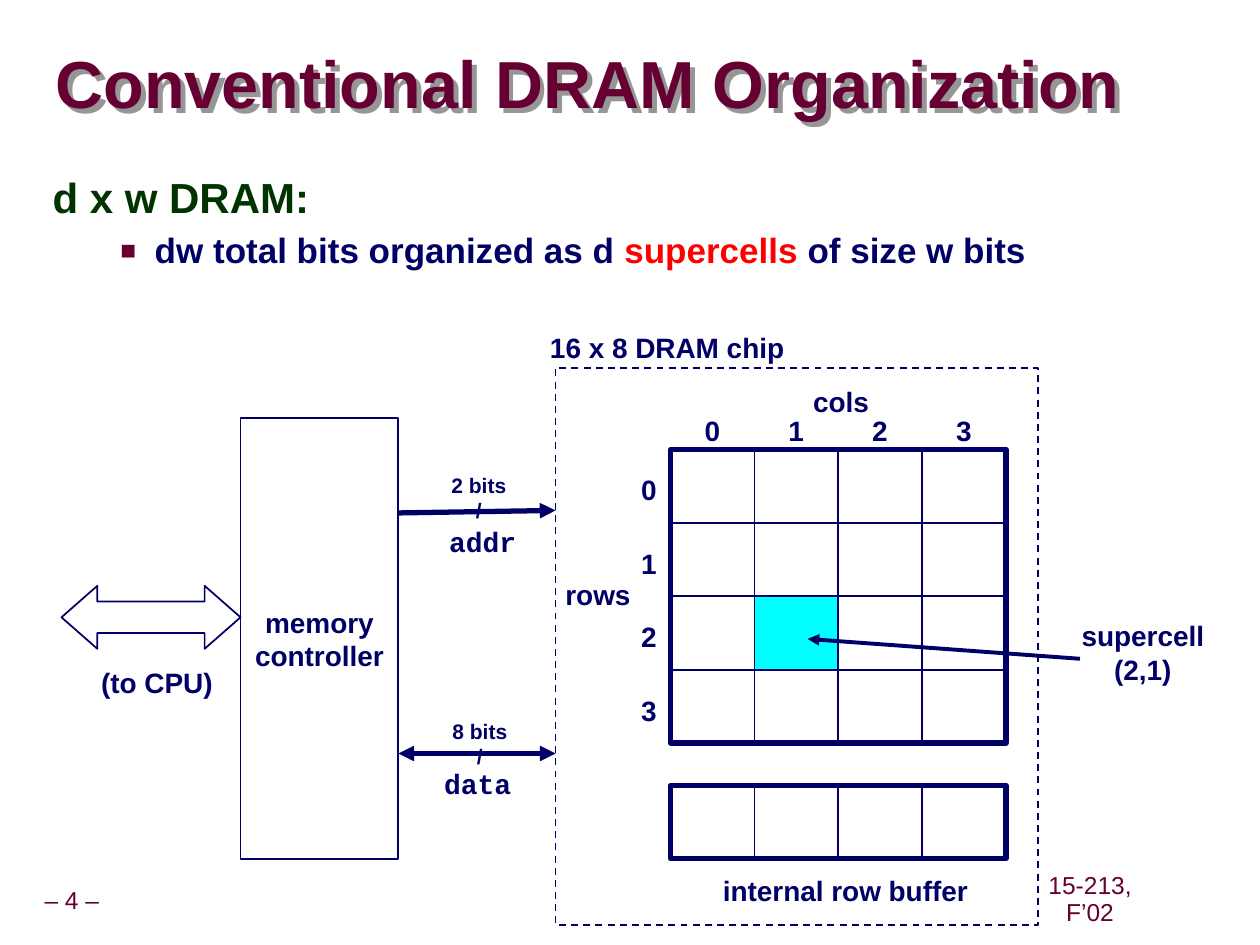
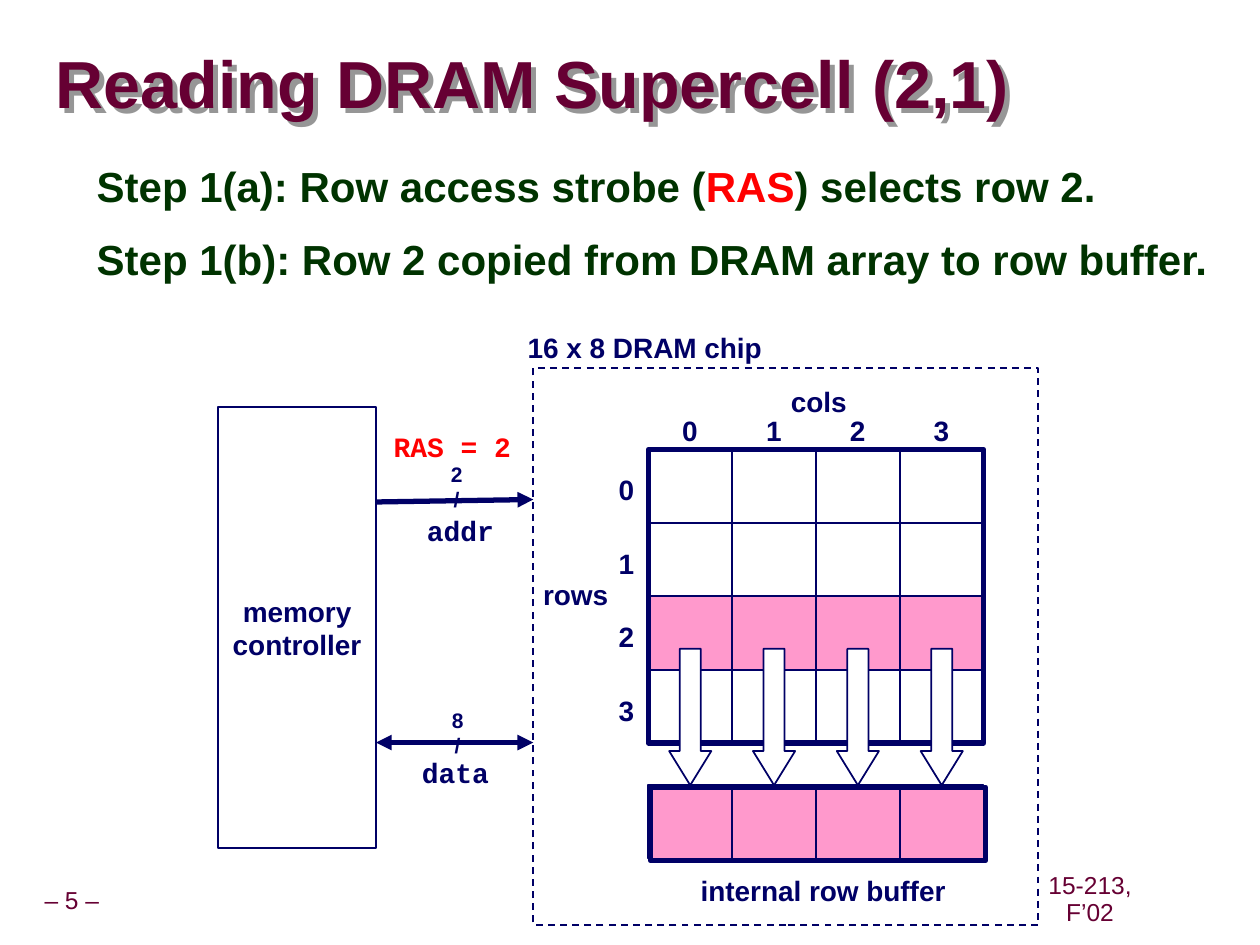
from lxml import etree
from pptx import Presentation, util as u
from pptx.dml.color import RGBColor
from pptx.enum import dml, shapes, text
from pptx.oxml import ns

NAVY, WINE, GREEN = "000066", "660033", "003300"
RED, WHITE, CYAN, PINK = "FF0000", "FFFFFF", "00FFFF", "FF99CC"
SANS, MONO = "Arial", "Courier New"
CELL_W, CELL_H, CELLS = 1.69, 1.48, 4
GRID_X, GRID_Y, BUFFER_Y = 13.52, 9.06, 15.83
CHIP_RIGHT = 20.93
SHAPE = shapes.MSO_SHAPE


def rgb(value):
    return RGBColor.from_string(value)


def add_xml(parent, tag, **attributes):
    return etree.SubElement(parent, ns.qn(tag), attributes)


class Deck:
    """Presentation style and the slide being drawn; lengths are centimetres."""

    def __init__(self):
        self.prs = Presentation()
        self.prs.slide_width, self.prs.slide_height = u.Cm(25.4), u.Cm(19.05)

    def slide(self, title, number):
        self.s = self.prs.slides.add_slide(self.prs.slide_layouts[6])
        footer = dict(size=14, color=WINE, bold=False, spacing=0.9, inset=0.13)
        self.label(f"– {number} –", 0.61, 17.78, 1.68, 0.79, **footer)
        self.label("15-213, F’02", 20.95, 17.75, 2.05, 0.79, wrap=True, **footer)
        sp = self.label(title, 1.12, 0.69, 24.2, 2.16, size=38, color=WINE,
                        spacing=0.87, inset=0, wrap=True, align="LEFT")
        effects = add_xml(sp._element.spPr, "a:effectLst")
        shadow = add_xml(effects, "a:outerShdw", dist="51000", dir="2700000",
                         algn="ctr", rotWithShape="0")
        add_xml(shadow, "a:srgbClr", val="969696")

    def label(self, content, x, y, w, h=0.94, wrap=False, inset=None, **style):
        sp = self.s.shapes.add_textbox(u.Cm(x), u.Cm(y), u.Cm(w), u.Cm(h))
        tf = sp.text_frame
        if inset is not None:
            tf.margin_left = tf.margin_right = u.Cm(inset)
            tf.margin_top = tf.margin_bottom = u.Cm(inset)
        self.fill_text(tf, content, wrap, **style)
        return sp

    def fill_text(self, tf, content, wrap=False, align="CENTER", **style):
        """Fill a frame with lines that share one style."""
        tf.word_wrap = wrap
        tf.vertical_anchor = text.MSO_ANCHOR.MIDDLE
        for i, line in enumerate(content.split("\n")):
            p = tf.paragraphs[0] if i == 0 else tf.add_paragraph()
            p.alignment = getattr(text.PP_ALIGN, align)
            self.style(p, **style)
            p.add_run().text = line

    def style(self, p, size=16, color=NAVY, font=SANS, bold=True, spacing=None):
        p.line_spacing = spacing
        p.font.size, p.font.name, p.font.bold = u.Pt(size), font, bold
        p.font.color.rgb = rgb(color)

    def body(self, x, y, w, h, *paragraphs):
        """Each paragraph is (level, runs); level 1 has a square bullet.

        A run is (text, color).
        """
        sp = self.s.shapes.add_textbox(u.Cm(x), u.Cm(y), u.Cm(w), u.Cm(h))
        tf = sp.text_frame
        tf.word_wrap = True
        for i, (level, runs) in enumerate(paragraphs):
            p = tf.paragraphs[0] if i == 0 else tf.add_paragraph()
            if level:
                self.bullet(p)
                p.space_before = u.Pt(5)
            self.style(p, size=20 if level else 24, spacing=0.95)
            for content, color in runs:
                r = p.add_run()
                r.text, r.font.color.rgb = content, rgb(color)

    def bullet(self, p):
        pPr = p._p.get_or_add_pPr()
        pPr.set("marL", str(u.Cm(2.06)))
        pPr.set("indent", str(-u.Cm(0.69)))
        add_xml(add_xml(pPr, "a:buClr"), "a:srgbClr", val=WINE)
        add_xml(pPr, "a:buSzPct", val="75000")
        add_xml(pPr, "a:buFont", typeface=SANS)
        add_xml(pPr, "a:buChar", char="■")

    def shape(self, x, y, w, h, fill=None, weight=1, kind=SHAPE.RECTANGLE,
              adjust=(), dashed=False):
        sp = self.s.shapes.add_shape(kind, u.Cm(x), u.Cm(y), u.Cm(w), u.Cm(h))
        sp.shadow.inherit = False
        if fill:
            sp.fill.solid()
            sp.fill.fore_color.rgb = rgb(fill)
        else:
            sp.fill.background()
        sp.line.color.rgb, sp.line.width = rgb(NAVY), u.Pt(weight)
        if dashed:
            sp.line.dash_style = dml.MSO_LINE.DASH
        for i, value in enumerate(adjust):
            sp.adjustments[i] = value
        return sp

    def arrow(self, x1, y1, x2, y2, weight=3, both=False):
        line = self.s.shapes.add_connector(
            shapes.MSO_CONNECTOR.STRAIGHT, u.Cm(x1), u.Cm(y1), u.Cm(x2), u.Cm(y2))
        line.line.color.rgb, line.line.width = rgb(NAVY), u.Pt(weight)
        ln = line._element.spPr.find(ns.qn("a:ln"))
        if both:
            add_xml(ln, "a:headEnd", type="triangle")
        add_xml(ln, "a:tailEnd", type="triangle")
        add_xml(line._element.spPr, "a:effectLst")

    def chip(self, dx, marked, mark, buffer_fill=WHITE, buffer_shift=0):
        """DRAM chip moved by dx, with the (row, column) cells in marked coloured."""
        left = GRID_X + dx
        self.label("cols", 16.13 + dx, 7.62, 1.65)
        self.label("rows", 11.13 + dx, 11.51, 1.85)
        for row in range(CELLS):
            for col in range(CELLS):
                self.shape(left + col * CELL_W, GRID_Y + row * CELL_H, CELL_W, CELL_H,
                           mark if (row, col) in marked else WHITE)
        for i in range(CELLS):
            self.label(str(i), left + i * CELL_W + 0.43, 8.2, 0.82)
            self.label(str(i), left - 0.85, GRID_Y + i * CELL_H + 0.34, 0.82)
        self.shape(left, GRID_Y, CELLS * CELL_W, CELLS * CELL_H, weight=3)

        self.shape(left + buffer_shift, BUFFER_Y + buffer_shift, CELLS * CELL_W,
                   CELL_H, buffer_fill, weight=3)
        for col in range(CELLS):
            self.shape(left + col * CELL_W, BUFFER_Y, CELL_W, CELL_H)
        self.label("internal row buffer", 14.3 + dx, 17.48, 5.49)

        chip_x = 11.2 + dx
        self.shape(chip_x, 7.42, CHIP_RIGHT - chip_x, 11.23, dashed=True)
        self.label("16 x 8 DRAM chip", 10.82 + dx, 6.53, 5.26)

    def controller(self, dx, dy, unit=""):
        """Memory controller with its address and data buses."""
        sp = self.shape(4.85 + dx, 8.43 + dy, 3.18, 8.89, WHITE)
        self.fill_text(sp.text_frame, "memory\ncontroller")
        start, end = 8.03 + dx, 11.2 + dx
        self.arrow(start, 10.34 + dy, end, 10.29 + dy)
        self.arrow(start, 15.19 + dy, end, 15.19 + dy, both=True)
        self.label("addr", 8.79 + dx, 10.44 + dy, 1.88, font=MONO)
        self.label("data", 8.69 + dx, 15.32 + dy, 1.88, font=MONO)
        self.label(f"2{unit}\n/", 8.84 + dx, 9.4 + dy, 1.63, 1.27, size=12)
        self.label(f"8{unit}\n/", 8.86 + dx, 14.35 + dy, 1.63, 1.27, size=12)


def organization(deck):
    deck.slide("Conventional DRAM Organization", 4)
    deck.body(0.81, 3.4, 23.09, 14.5,
              (0, [("d x w DRAM:", GREEN)]),
              (1, [("dw total bits organized as d ", NAVY), ("supercells", RED),
                   (" of size w bits", NAVY)]))
    deck.chip(0, {(2, 1)}, CYAN)
    deck.controller(0, 0, " bits")
    deck.label("supercell\n(2,1)", 21.54, 12.34, 3, 1.63)
    deck.arrow(21.77, 13.28, 16.28, 12.88, weight=2.25)
    deck.shape(1.24, 11.81, 3.61, 1.27, WHITE, kind=SHAPE.LEFT_RIGHT_ARROW,
               adjust=(0.5, 0.57))
    deck.label("(to CPU)", 1.78, 13.28, 2.77)


def row_access(deck):
    dx = -0.45
    deck.slide("Reading DRAM Supercell (2,1)", 5)
    deck.body(1.7, 3.18, 22.68, 1.47,
              (0, [("Step 1(a): Row access strobe (", GREEN), ("RAS", RED),
                   (") selects row 2.", GREEN)]))
    deck.body(1.7, 4.65, 23.93, 1.47,
              (0, [("Step 1(b): Row 2 copied from DRAM array to row buffer.", GREEN)]))
    deck.chip(dx, {(2, col) for col in range(CELLS)}, PINK, PINK, 0.04)
    deck.controller(dx, -0.22)
    deck.label("RAS = 2", 7.67, 8.53, 2.9, font=MONO, color=RED)
    for col in range(CELLS):
        deck.shape(GRID_X + dx + col * CELL_W + 0.42, 13.08, 0.85, 2.75, WHITE,
                   kind=SHAPE.DOWN_ARROW, adjust=(0.5, 0.81))


def main():
    deck = Deck()
    organization(deck)
    row_access(deck)
    deck.prs.save("out.pptx")


if __name__ == "__main__":
    main()
